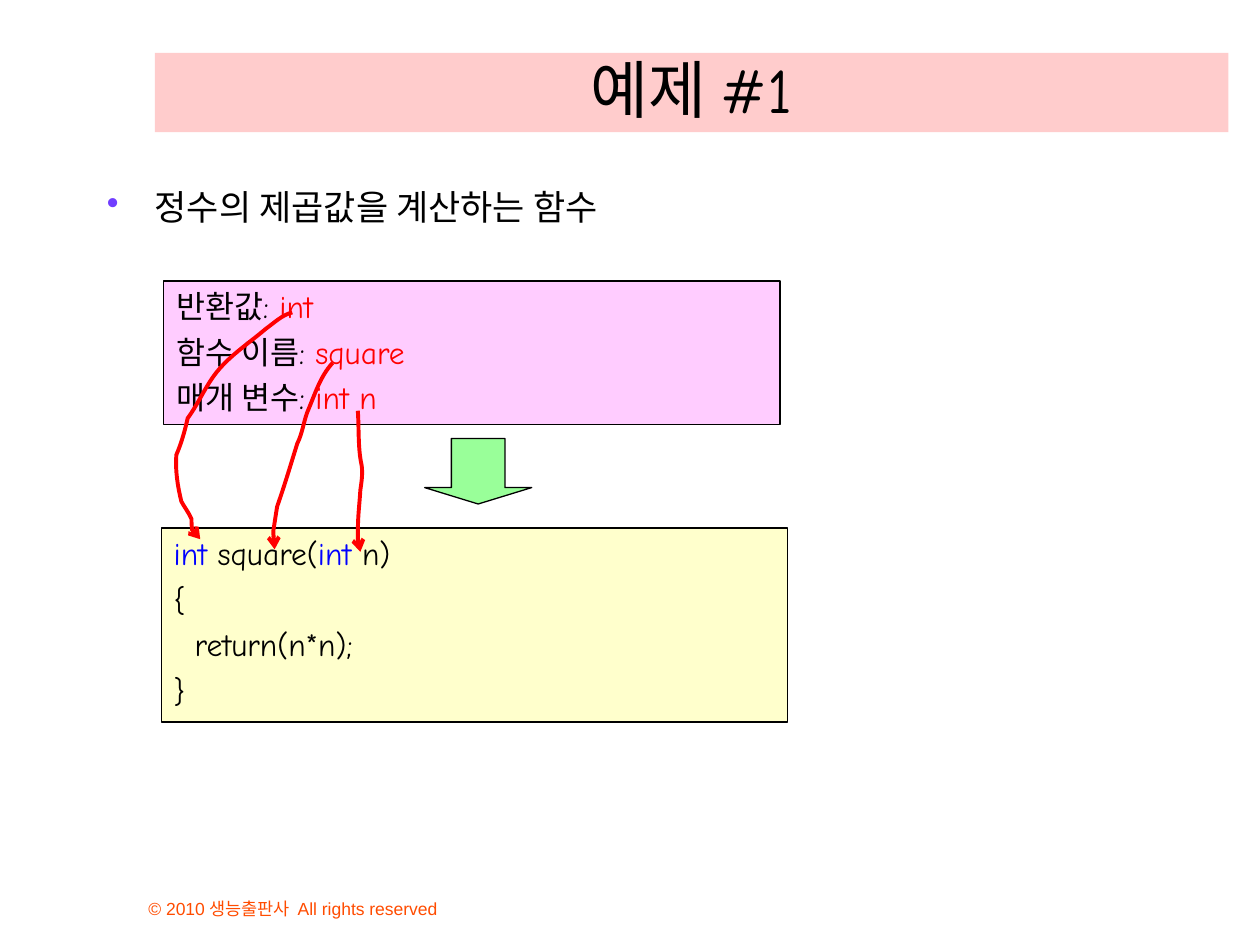
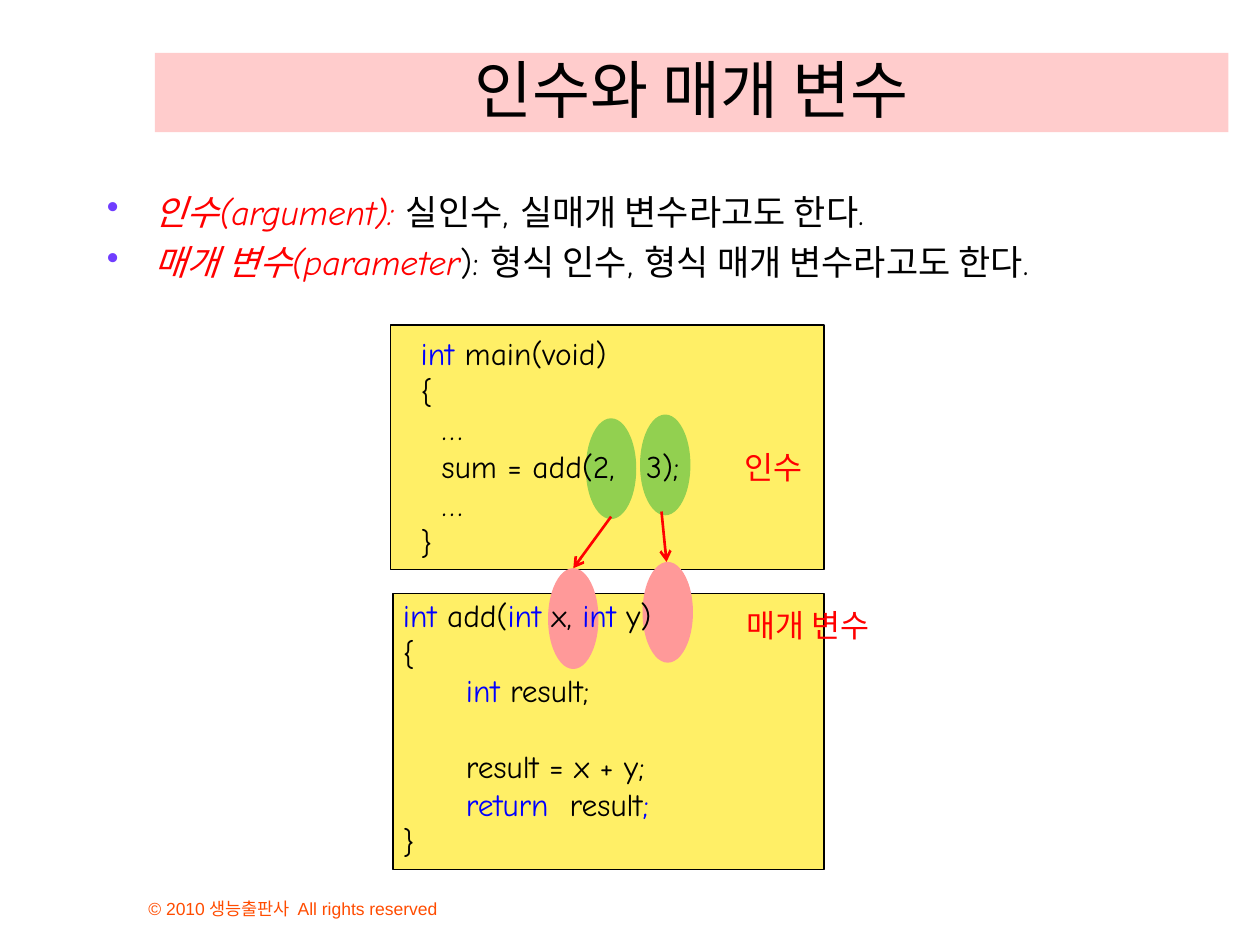
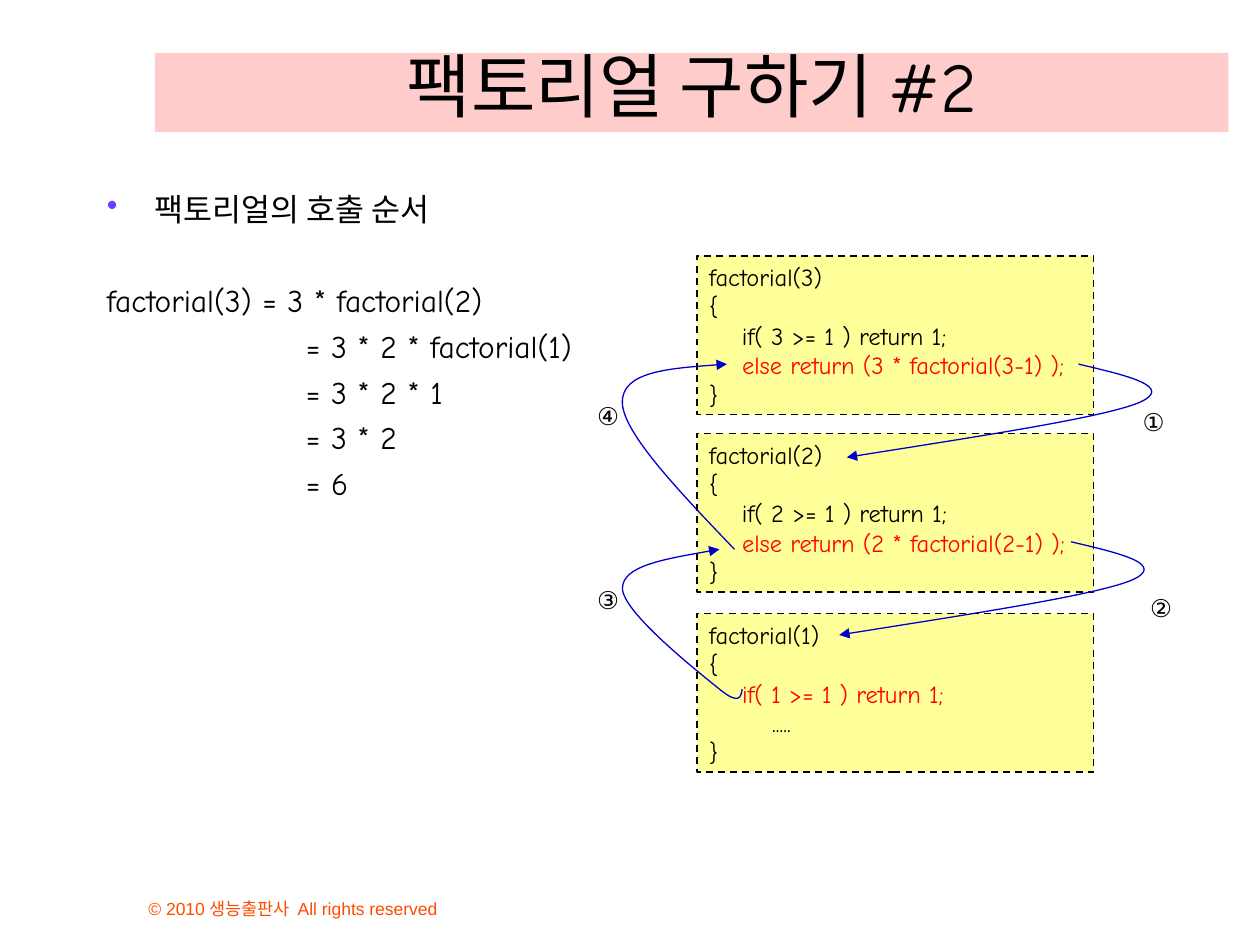
from lxml import etree
from pptx import Presentation
from pptx.dml.color import RGBColor
from pptx.enum.dml import MSO_LINE
from pptx.enum.shapes import MSO_CONNECTOR, MSO_SHAPE
from pptx.enum.text import MSO_ANCHOR, PP_ALIGN
from pptx.oxml.ns import qn
from pptx.util import Inches, Pt

RECT, OVAL, DOWN = MSO_SHAPE.RECTANGLE, MSO_SHAPE.OVAL, MSO_SHAPE.DOWN_ARROW
STRAIGHT, DASH = MSO_CONNECTOR.STRAIGHT, MSO_LINE.DASH
TOP, BOTTOM, CENTER = MSO_ANCHOR.TOP, MSO_ANCHOR.BOTTOM, PP_ALIGN.CENTER

# The grid has 100 columns and 75 rows of square cells
COLS, ROWS, CELL = 100, 75, Inches(0.1)
FONT, SANS = "Comic Neue", "Arial"
BLACK, RED, BLUE, NAVY = "000000", "FF0000", "0000FF", "0000CC"
BAND, DOT, FOOT = "FFCCCC", "703DFF", "FF4C00"
GOLD, LEMON, GREEN, ROSE = "FFEF66", "FFFF99", "92D050", "FF9999"


def rgb(code):
    return RGBColor.from_string(code)


def cells(*nums):
    return [round(num * CELL) for num in nums]


class Deck:
    def __init__(self):
        self.prs = Presentation()
        self.prs.slide_width, self.prs.slide_height = cells(COLS, ROWS)

    def page(self, title, size=36):
        """Start a slide with its footer and title band."""
        self.slide = self.prs.slides.add_slide(self.prs.slide_layouts[6])
        self.text((10.8, 69.2, 38.3, 4.2), ["© 2010 생능출판사  All rights reserved"],
                  size=10, font=SANS, color=FOOT, anchor=BOTTOM)
        band = self.shape(RECT, (12.3, 4.2, 85.2, 6.3), BAND)
        self.label(band, [title], size, anchor=BOTTOM)[0].alignment = CENTER

    def shape(self, kind, area, fill, line=None, width=0.75):
        item = self.slide.shapes.add_shape(kind, *cells(*area))
        item.shadow.inherit = False
        item.fill.solid()
        item.fill.fore_color.rgb = rgb(fill)
        if line:
            self.stroke(item, line, width)
        else:
            item.line.fill.background()
        return item

    def stroke(self, item, color, width, head=None):
        item.line.color.rgb = rgb(color)
        item.line.width = Pt(width)
        if head:
            line = item.element.xpath(".//a:ln")[0]
            etree.SubElement(line, qn("a:tailEnd"), type=head)

    def label(self, item, lines, size=18, font=FONT, color=BLACK, mark=BLUE,
              gap=0, wrap=True, anchor=TOP):
        """Fill a shape; parts between bars take the mark colour."""
        frame = item.text_frame
        frame.word_wrap, frame.vertical_anchor = wrap, anchor
        frame.text = "\n".join([""] * len(lines))
        for num, (para, line) in enumerate(zip(frame.paragraphs, lines)):
            para.alignment = PP_ALIGN.LEFT
            if num and gap:
                para.space_before = Pt(gap)
            for odd, part in enumerate(line.split("|")):
                if part:
                    run = para.add_run()
                    run.text = part
                    run.font.size, run.font.name = Pt(size), font
                    run.font.color.rgb = rgb(mark if odd % 2 else color)
        return frame.paragraphs

    def text(self, area, lines, **style):
        return self.label(self.slide.shapes.add_textbox(*cells(*area)), lines, **style)

    def box(self, area, fill, lines, **style):
        item = self.shape(RECT, area, fill, BLACK)
        self.label(item, lines, **style)
        return item

    def bullet(self, para):
        props = para._p.get_or_add_pPr()
        hang = Inches(0.38)
        props.set("marL", str(hang))
        props.set("indent", str(-hang))
        tint = etree.SubElement(props, qn("a:buClr"))
        etree.SubElement(tint, qn("a:srgbClr"), val=DOT)
        etree.SubElement(props, qn("a:buChar"), char="•")

    def arrow(self, start, end):
        item = self.slide.shapes.add_connector(STRAIGHT, *cells(*start, *end))
        self.stroke(item, RED, 1.5, "arrow")
        etree.SubElement(item.element.spPr, qn("a:effectLst"))

    def curve(self, points, color, width, head):
        """Draw a start point followed by three points per Bezier piece."""
        first, *rest = [cells(*point) for point in points]
        maker = self.slide.shapes.build_freeform(*first)
        maker.add_line_segments(rest, close=False)
        item = maker.convert_to_shape()
        item.shadow.inherit = False
        item.fill.background()
        steps = item.element.xpath(".//a:lnTo")
        for num in range(0, len(steps), 3):
            bend, *others = steps[num:num + 3]
            bend.tag = qn("a:cubicBezTo")
            for other in others:
                bend.append(other[0])
                other.getparent().remove(other)
        self.stroke(item, color, width, head)


def square(deck):
    deck.page("예제 #1")
    head = deck.text((7.5, 14.6, 89.8, 4.1), ["정수의 제곱값을 계산하는 함수"], size=20)[0]
    head.line_spacing = 0.9
    deck.bullet(head)

    # Parts of the function and its code
    deck.box((13, 22.3, 48.9, 11.4), "FFCCFF",
             ["반환값: |int", "함수 이름:| square", "매개 변수: |int n"], mark=RED, gap=4.5)
    deck.box((12.8, 41.9, 49.7, 15.4), "FFFFCC",
             ["|int |square(|int| n)", "{", "  return(n*n);", "}"], gap=4.5)
    down = deck.shape(DOWN, (33.7, 34.8, 8.5, 5.2), "99FF99", BLACK)
    down.adjustments[0], down.adjustments[1] = 0.5, 0.25

    # Hand-drawn arrows from each part to the code
    for points in (
        [(23.2, 24.8), (22.4, 25), (21.8, 25.6), (21.1, 26.1), (19.7, 27.3), (18.1, 28.3),
         (17, 29.8), (16.2, 30.9), (15.7, 32.1), (14.9, 33.2), (14.7, 34.1), (14.4, 35.2),
         (14, 36.1), (13.9, 37.3), (14.1, 38.6), (14.4, 39.8), (14.6, 40.2), (15, 40.7),
         (15.2, 41.2), (15.2, 41.3), (15.2, 42.3), (15.4, 42.5), (15.5, 42.6),
         (15.9, 42.8), (15.9, 42.8)],
        [(26.4, 28.8), (25.4, 29.9), (25, 31.3), (24.4, 32.7), (24.1, 33.5), (24, 34.4),
         (23.6, 35.2), (23.1, 36.8), (22.6, 38.5), (22, 40.2), (21.9, 40.8), (21.8, 41.5),
         (21.7, 42.1), (21.7, 42.6), (21.8, 43.6), (21.8, 43.6)],
        [(28.4, 32.6), (28.5, 33.9), (28.4, 35.6), (28.7, 36.9), (28.8, 37.6), (28.7, 38.2),
         (28.6, 38.9), (28.5, 40.5), (28.4, 40.8), (28.4, 42.7), (28.4, 43.1), (28.6, 43.4),
         (28.6, 43.8)],
    ):
        deck.curve(points, RED, 2.25, "arrow")


def params(deck):
    deck.page("인수와 매개 변수")
    terms = deck.text((7.5, 14.6, 89.8, 9),
                      ["|인수(argument): |실인수, 실매개 변수라고도 한다.",
                       "|매개 변수(parameter|): 형식 인수, 형식 매개 변수라고도 한다."],
                      size=20, mark=RED, gap=5)
    for term in terms:
        deck.bullet(term)
        term.runs[0].font.italic = True

    # Panels, with ovals behind the code
    deck.shape(RECT, (31.2, 47.1, 34.2, 21.9), GOLD, BLACK)
    deck.shape(RECT, (31, 25.8, 34.4, 19.4), GOLD, BLACK)
    for left, top, fill in ((50.8, 32.9, GREEN), (46.5, 33.2, GREEN),
                            (51, 44.6, ROSE), (43.5, 45.1, ROSE)):
        deck.shape(OVAL, (left, top, 4, 8), fill)
    deck.text((32.4, 26, 34.6, 19),
              ["|int |main(void)", "{", "  …", "  sum = add(2,   3);", "  …", "}"])
    code = deck.text((31, 46.8, 34.6, 22),
                     ["|int |add(|int| x, |int| y)", "{", "\t|int |result;",
                      "\tresult = x + y;", "\t|return  |result|;", "}"])
    code[3].space_before = Pt(21.5)

    # Arrows and labels
    deck.arrow((48.5, 41), (45.5, 45.1))
    deck.arrow((52.5, 40.6), (52.9, 44.6))
    for area, label in (((58.1, 35.1, 7.2, 4), "인수"), ((58.3, 47.6, 12.5, 4), "매개 변수")):
        deck.text(area, [label], font=SANS, color=RED, wrap=False)


def calls(deck):
    deck.page("팩토리얼 구하기 #2", 40)
    steps = deck.text((7.5, 14.6, 85.2, 45.4),
                      ["팩토리얼의 호출 순서", "factorial(3) = 3 * factorial(2)",
                       "= 3 * 2 * factorial(1)", "= 3 * 2 * 1", "= 3 * 2", "= 6"], gap=4.5)
    deck.bullet(steps[0])
    steps[1].space_before = Pt(30.5)
    for step in steps[2:]:
        step._p.get_or_add_pPr().set("marL", str(Inches(1.58)))

    # One dashed box per call
    for num, top in ((3, 20.3), (2, 34.4), (1, 48.7)):
        test = f"if( {num} >= 1 ) return 1;"
        if num > 1:
            body = [f"    {test}", f"    |else return ({num} * factorial({num}-1) );"]
        else:
            body = [f"    |{test}", "\t....."]
        frame = deck.box((55.3, top, 31.5, 12.6), LEMON,
                         [f"factorial({num})", "{", *body, "}"], size=14, mark=RED)
        frame.line.width, frame.line.dash_style = Pt(1), DASH

    # Order of the calls
    for left, top, label in ((89.7, 31.8, "①"), (90.3, 46.6, "②"),
                             (46.4, 45.9, "③"), (46.4, 31.3, "④")):
        deck.text((left, top, 3.9, 3.4), [label], size=14, wrap=False)

    # Calls go down on the right, results come back on the left
    call = [(85.6, 28.9), (89.4, 29.8), (93.4, 30.7), (90.3, 32),
            (87.2, 33.2), (77.2, 34.7), (67.2, 36.3)]
    for points in (
        call,
        [(x - 0.6, y + 14.1) for x, y in call],
        [(58.3, 43.6), (53.9, 39), (49.5, 34.4), (49.4, 32),
         (49.3, 29.5), (53.5, 29.2), (57.7, 28.9)],
        [(58.9, 54.7), (58.8, 55.3), (58.7, 56), (57.1, 54.7), (55.5, 53.4),
         (49.4, 48.6), (49.4, 46.7), (49.4, 44.9), (53.2, 44.3), (57.1, 43.6)],
    ):
        deck.curve(points, NAVY, 0.75, "triangle")


def main():
    deck = Deck()
    for build in (square, params, calls):
        build(deck)
    deck.prs.save("out.pptx")


if __name__ == "__main__":
    main()
